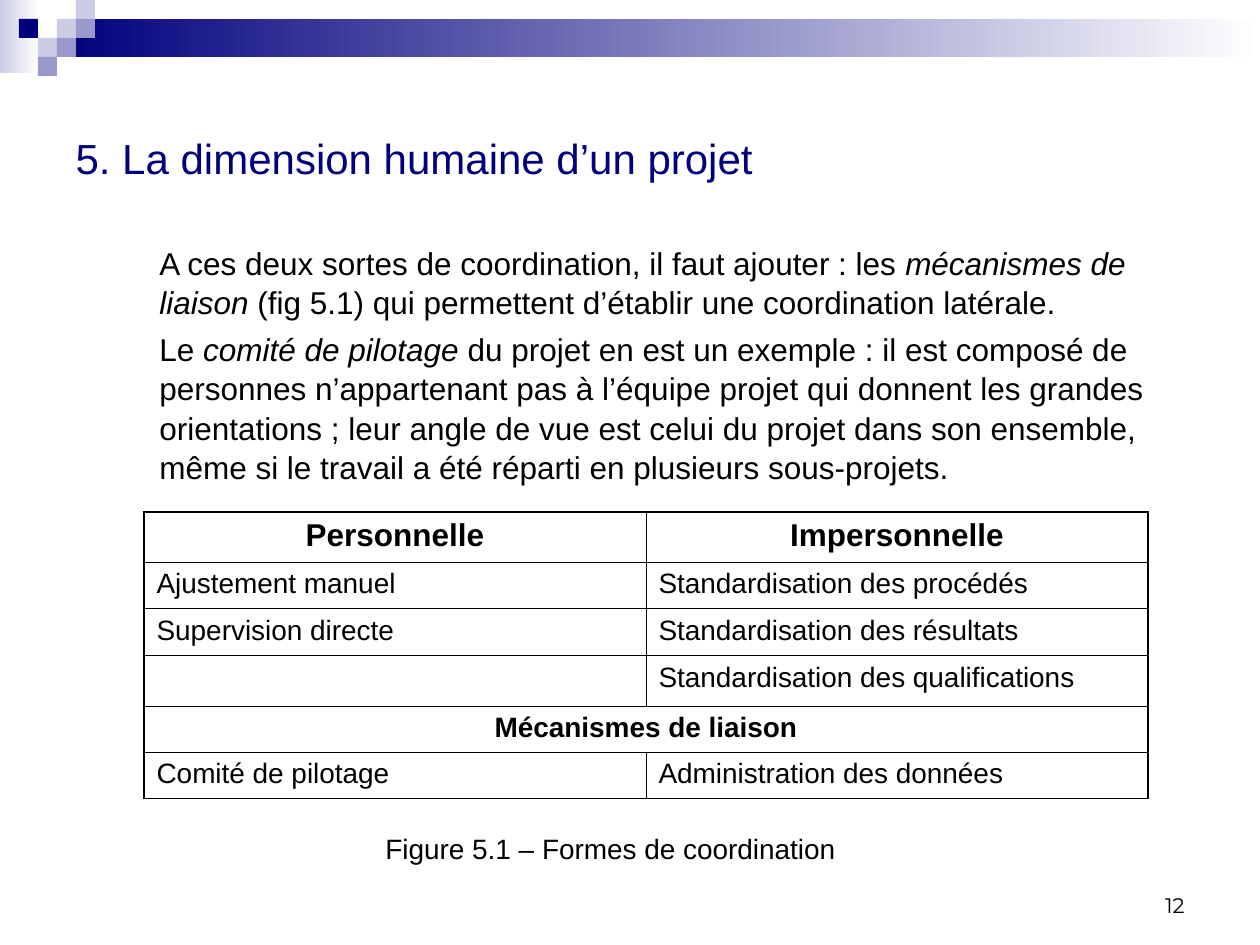
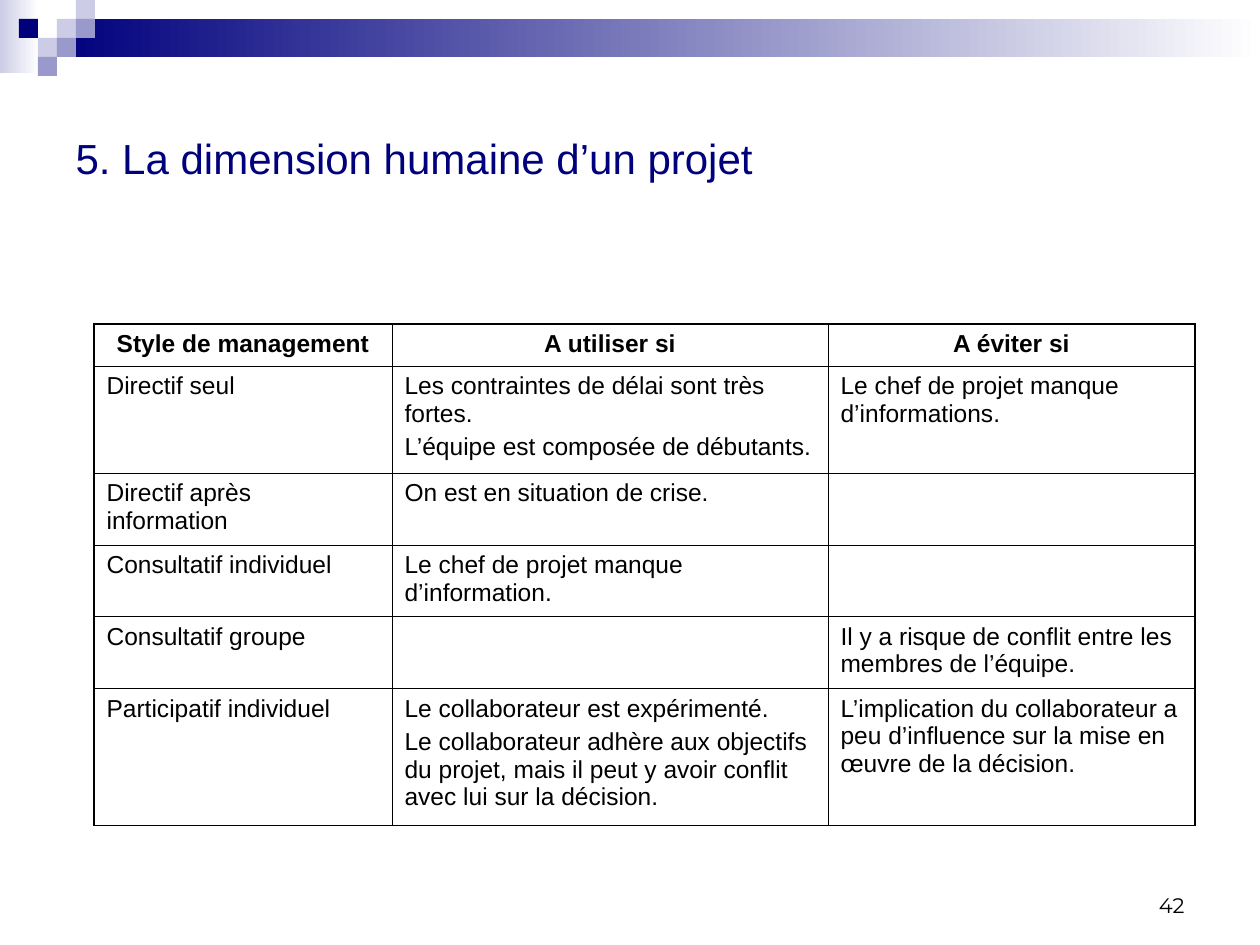
"""Build two slides on the human side of a project: forms of coordination and management styles."""
from lxml.etree import SubElement
from pptx import Presentation
from pptx.dml.color import RGBColor
from pptx.enum.shapes import MSO_SHAPE
from pptx.enum.text import MSO_ANCHOR as Anchor, PP_ALIGN as Align
from pptx.oxml.ns import qn
from pptx.util import Emu, Pt

NAVY = RGBColor(0x00, 0x00, 0x7D)
LAVENDER = RGBColor(0xCC, 0xCC, 0xE6)
PERIWINKLE = RGBColor(0x99, 0x99, 0xCC)
WHITE = RGBColor(0xFF, 0xFF, 0xFF)
BLACK = RGBColor(0x00, 0x00, 0x00)

FONT, NUMBER_FONT = "Arial", "Montserrat"
OUTER_LINE, INNER_LINE = Pt(1.08), Pt(0.45)
SQUARE = 19

TITLE = "5. La dimension humaine d’un projet"
TITLE_BOX = (63, 63, 1134, 189)
NUMBER_BOX = (903, 861, 294, 63)
FADES = [((0, 0, 39, 73), LAVENDER), ((57, 19, 1203, 38), NAVY)]
MOSAIC = [(3, 1, LAVENDER), (4, 0, LAVENDER), (4, 1, PERIWINKLE), (2, 2, LAVENDER),
          (1, 1, NAVY), (3, 2, PERIWINKLE), (2, 3, PERIWINKLE)]

LIAISON_BOX, LIAISON_INDENT = (63, 236, 1133, 645), 84
LIAISON = [
    [("A ces deux sortes de coordination, il faut ajouter : les ", False),
     ("mécanismes de liaison", True),
     (" (fig 5.1) qui permettent d’établir une coordination latérale.", False)],
    [("Le ", False),
     ("comité de pilotage", True),
     (" du projet en est un exemple : il est composé de personnes n’appartenant pas à "
      "l’équipe projet qui donnent les grandes orientations ; leur angle de vue est celui "
      "du projet dans son ensemble, même si le travail a été réparti en plusieurs "
      "sous-projets.", False)],
]
CAPTION, CAPTION_BOX = "Figure 5.1 – Formes de coordination", (373, 825, 475, 47)

COORDINATION = {
    "at": (144, 512),
    "columns": [502, 502],
    "heights": [50, 46, 47, 48, 46, 46],
    "sizes": (18, 16),
    "rows": [
        ["Personnelle", "Impersonnelle"],
        ["Ajustement manuel", "Standardisation des procédés"],
        ["Supervision directe", "Standardisation des résultats"],
        ["", "Standardisation des qualifications"],
        ["Mécanismes de liaison"],
        ["Comité de pilotage", "Administration des données"],
    ],
}
STYLES = {
    "at": (94, 324),
    "columns": [298, 436, 367],
    "heights": [41, 107, 72, 71, 72, 137],
    "sizes": (14, 14),
    "rows": [
        ["Style de management", "A utiliser si", "A éviter si"],
        ["Directif seul",
         "Les contraintes de délai sont très fortes.\nL’équipe est composée de débutants.",
         "Le chef de projet manque d’informations."],
        ["Directif après information", "On est en situation de crise.", ""],
        ["Consultatif individuel", "Le chef de projet manque d’information.", ""],
        ["Consultatif groupe", "", "Il y a risque de conflit entre les membres de l’équipe."],
        ["Participatif individuel",
         "Le collaborateur est expérimenté.\nLe collaborateur adhère aux objectifs du projet, "
         "mais il peut y avoir conflit avec lui sur la décision.",
         "L’implication du collaborateur a peu d’influence sur la mise en œuvre de la décision."],
    ],
}


def px(length):
    return Emu(round(length * 914400 / 126))


def box(lengths):
    return [px(length) for length in lengths]


def write(paragraph, text, size, color=BLACK, font=FONT, bold=False, italic=False):
    run = paragraph.add_run()
    run.text = text
    run.font.name, run.font.size = font, Pt(size)
    run.font.bold, run.font.italic = bold, italic
    run.font.color.rgb = color


def paragraphs(frame, contents, gap):
    for index, content in enumerate(contents):
        paragraph = frame.add_paragraph() if index else frame.paragraphs[0]
        if index:
            paragraph.space_before = Pt(gap)
        yield paragraph, content


def add_rectangle(slide, lengths):
    rectangle = slide.shapes.add_shape(MSO_SHAPE.RECTANGLE, *box(lengths))
    rectangle.shadow.inherit = False
    rectangle.line.fill.background()
    return rectangle


def decorate_layout(layout, slide):
    """Draw the header on a slide, then hand it over to the layout that all slides share."""
    header = []
    for lengths, color in FADES:
        fade = add_rectangle(slide, lengths)
        fade.fill.gradient()
        fade.fill.gradient_angle = 0
        for stop, shade, position in zip(fade.fill.gradient_stops, (color, WHITE), (0, 1)):
            stop.color.rgb, stop.position = shade, position
        header.append(fade)
    for column, row, color in MOSAIC:
        square = add_rectangle(slide, (column * SQUARE, row * SQUARE, SQUARE, SQUARE))
        square.fill.solid()
        square.fill.fore_color.rgb = color
        header.append(square)
    for number, part in enumerate(header, 101):
        part.element.nvSpPr.cNvPr.set("id", str(number))
        layout.shapes.element.append(part.element)


def add_text_box(slide, lengths, wrap=True):
    frame = slide.shapes.add_textbox(*box(lengths)).text_frame
    frame.word_wrap = wrap
    return frame


def add_page(deck, layout, number):
    slide = deck.slides.add_slide(layout)
    title = slide.shapes.title
    title.left, title.top, title.width, title.height = box(TITLE_BOX)
    title.text_frame.vertical_anchor = Anchor.MIDDLE
    heading = title.text_frame.paragraphs[0]
    heading.alignment = Align.LEFT
    write(heading, TITLE, 24, NAVY)
    frame = add_text_box(slide, NUMBER_BOX)
    frame.vertical_anchor = Anchor.BOTTOM
    frame.paragraphs[0].alignment = Align.RIGHT
    write(frame.paragraphs[0], number, 12, font=NUMBER_FONT)
    return slide


def set_borders(cell, outer_sides):
    properties = cell._tc.get_or_add_tcPr()
    for side in "LRTB":
        width = OUTER_LINE if side in outer_sides else INNER_LINE
        line = SubElement(properties, qn(f"a:ln{side}"), w=str(width))
        SubElement(SubElement(line, qn("a:solidFill")), qn("a:srgbClr"), val=str(BLACK))


def add_grid(slide, content):
    columns, heights, rows = content["columns"], content["heights"], content["rows"]
    size = (sum(columns), sum(heights))
    table = slide.shapes.add_table(len(rows), len(columns), *box(content["at"] + size)).table
    table.first_row = table.horz_banding = False
    for column, width in zip(table.columns, columns):
        column.width = px(width)
    for row, height in zip(table.rows, heights):
        row.height = px(height)
    last_row, last_column = len(rows) - 1, len(columns) - 1
    for r, texts in enumerate(rows):
        spans = len(texts) == 1
        strong = r == 0 or spans
        if spans:
            table.cell(r, 0).merge(table.cell(r, last_column))
        for c in range(len(columns)):
            cell = table.cell(r, c)
            edges = {"L": c == 0, "R": c == last_column or spans, "T": r == 0, "B": r == last_row}
            set_borders(cell, [side for side, outer in edges.items() if outer])
            cell.fill.background()
            if c >= len(texts) or not texts[c]:
                continue
            for paragraph, text in paragraphs(cell.text_frame, texts[c].split("\n"), 3.5):
                paragraph.alignment = Align.CENTER if strong else Align.LEFT
                write(paragraph, text, content["sizes"][min(r, 1)], bold=strong)


def main():
    deck = Presentation()
    deck.slide_width, deck.slide_height = px(1260), px(945)
    layout = deck.slide_layouts.get_by_name("Title Only")

    coordination = add_page(deck, layout, "12")
    decorate_layout(layout, coordination)
    frame = add_text_box(coordination, LIAISON_BOX)
    for paragraph, runs in paragraphs(frame, LIAISON, 4.5):
        paragraph._p.get_or_add_pPr().set("marL", str(px(LIAISON_INDENT)))
        paragraph.line_spacing = 1.04
        for text, italic in runs:
            write(paragraph, text, 18, italic=italic)
    add_grid(coordination, COORDINATION)
    write(add_text_box(coordination, CAPTION_BOX, wrap=False).paragraphs[0], CAPTION, 16)

    add_grid(add_page(deck, layout, "42"), STYLES)
    deck.save("out.pptx")


if __name__ == "__main__":
    main()
